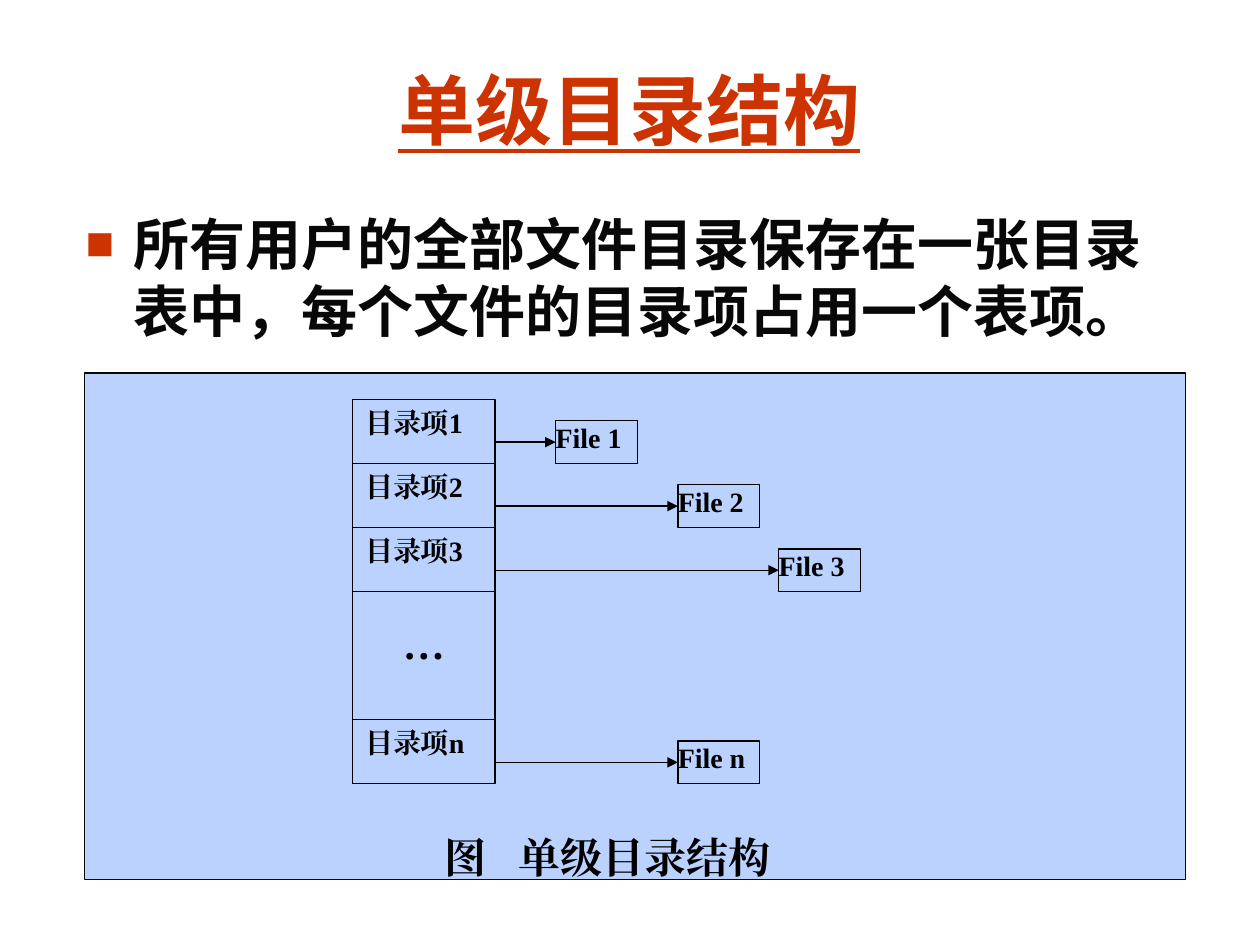
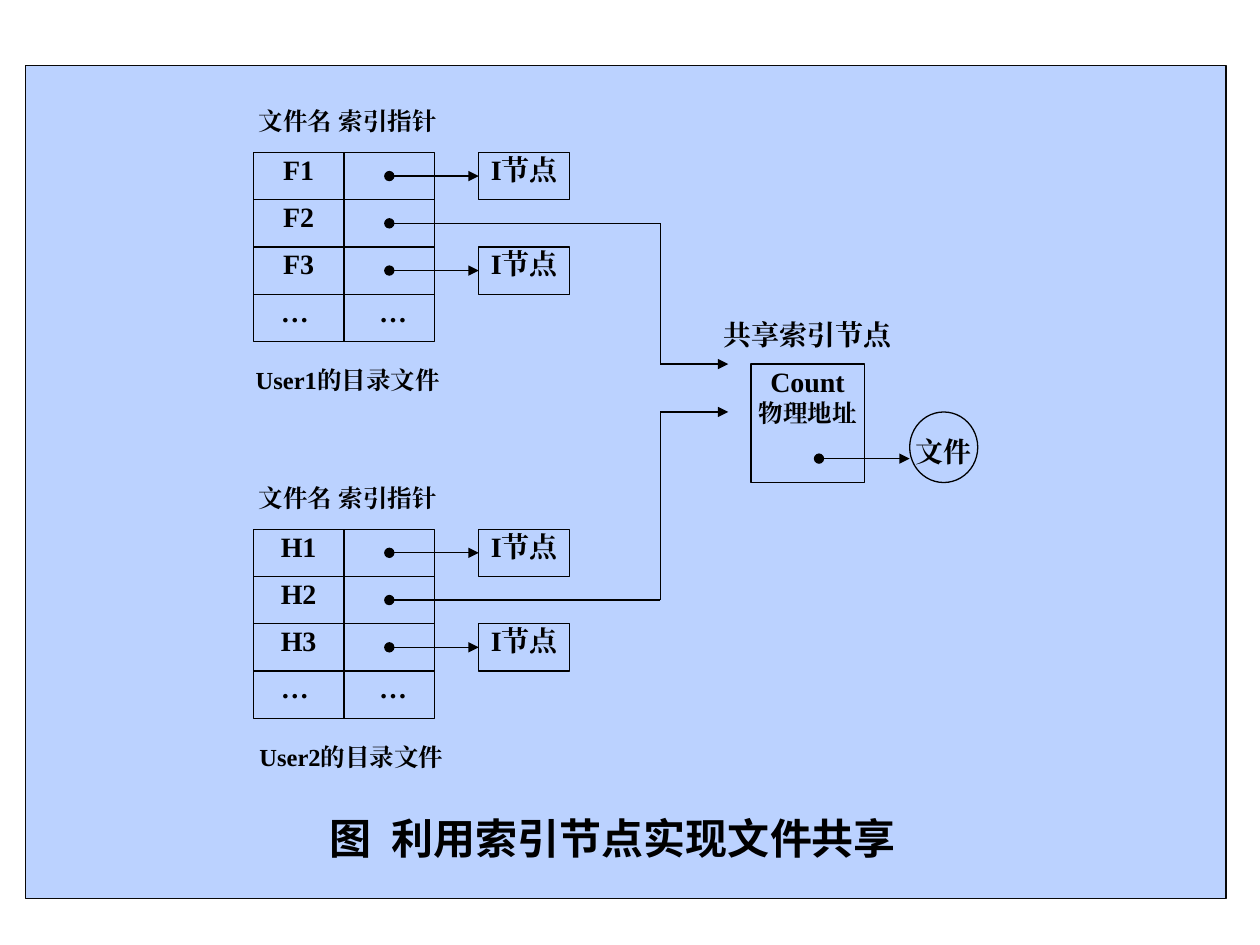
from itertools import pairwise

from lxml.etree import SubElement
from pptx import Presentation
from pptx.dml.color import RGBColor
from pptx.enum.shapes import MSO_CONNECTOR, MSO_SHAPE
from pptx.enum.text import MSO_ANCHOR, MSO_AUTO_SIZE, PP_ALIGN
from pptx.oxml.ns import qn
from pptx.util import Inches, Pt

COLORS = {"accent": "CC3300", "text": "080808", "ink": "000000", "panel": "BBD2FF"}
SERIF = "Times New Roman"
SANS = "Noto Sans CJK SC"
LEFT_SIDE = 1
NO_INSET = (0, 0, 0, 0)
DEFAULT_INSET = (0.1, 0.05, 0.1, 0.05)


def color(name):
    return RGBColor.from_string(COLORS[name])


class SlideBuilder:
    """Holds the shared style and the slide being filled."""

    def __init__(self, deck):
        self.deck = deck
        self.slide = None

    def new_slide(self, layout_index):
        self.slide = self.deck.slides.add_slide(self.deck.slide_layouts[layout_index])

    def place(self, shape, left, top, width, height):
        place = {"left": left, "top": top, "width": width, "height": height}
        for name, value in place.items():
            setattr(shape, name, Inches(value))

    def style_span(self, span, size, font=SERIF, ink="ink", spacing=0, **extra):
        formats = {"size": Pt(size), "name": font, "bold": True, **extra}
        for name, value in formats.items():
            setattr(span.font, name, value)
        span.font.color.rgb = color(ink)
        properties = span._r.get_or_add_rPr()
        SubElement(properties, qn("a:ea")).set("typeface", font)
        if spacing:
            properties.set("spc", str(spacing * 100))

    def fill_text(self, shape, lines, inset=NO_INSET, align=PP_ALIGN.CENTER):
        """Each line is a list of (text, format values) spans."""
        frame = shape.text_frame
        formats = {"word_wrap": True, "auto_size": MSO_AUTO_SIZE.NONE,
                   "vertical_anchor": MSO_ANCHOR.TOP}
        for side, value in zip(("left", "top", "right", "bottom"), inset):
            formats[f"margin_{side}"] = Inches(value)
        for name, value in formats.items():
            setattr(frame, name, value)
        for index, spans in enumerate(lines):
            para = frame.add_paragraph() if index else frame.paragraphs[0]
            para.alignment = align
            for text, values in spans:
                span = para.add_run()
                span.text = text
                self.style_span(span, **values)

    def title(self, text):
        shape = self.slide.shapes.title
        self.place(shape, 0.58, 0.28, 8.83, 1.17)
        self.fill_text(shape, [[(text, {"size": 44, "font": SANS, "ink": "accent",
                                        "underline": True})]], DEFAULT_INSET)
        shape.text_frame.vertical_anchor = MSO_ANCHOR.MIDDLE

    def bullet(self, text):
        shape = self.slide.placeholders[1]
        self.place(shape, 0.58, 1.61, 8.83, 4.92)
        self.fill_text(shape, [[(text, {"size": 32, "font": "Arial", "ink": "text"})]],
                       DEFAULT_INSET, PP_ALIGN.LEFT)
        properties = shape.text_frame.paragraphs[0]._p.get_or_add_pPr()
        properties.set("marL", str(Inches(0.38)))
        properties.set("indent", str(Inches(-0.38)))
        bullet_color = SubElement(properties, qn("a:buClr"))
        SubElement(bullet_color, qn("a:srgbClr")).set("val", COLORS["accent"])
        SubElement(properties, qn("a:buSzPct")).set("val", "85000")
        SubElement(properties, qn("a:buFont")).set("typeface", "Arial")
        SubElement(properties, qn("a:buChar")).set("char", "■")

    def box(self, left, top, width, height, text="", size=16, fill=None, line="ink",
            kind=MSO_SHAPE.RECTANGLE, **layout):
        shape = self.slide.shapes.add_shape(
            kind, Inches(left), Inches(top), Inches(width), Inches(height))
        shape.shadow.inherit = False
        if fill:
            shape.fill.solid()
            shape.fill.fore_color.rgb = color(fill)
        else:
            shape.fill.background()
        shape.line.color.rgb = color(line)
        shape.line.width = Pt(0.75)
        if text:
            self.fill_text(shape, [[(text, {"size": size})]], **layout)
        return shape

    def panel(self, left, top, width, height):
        self.box(left, top, width, height, fill="panel", line="text")

    def label(self, left, top, width, height, spans, inset=NO_INSET):
        shape = self.slide.shapes.add_textbox(
            Inches(left), Inches(top), Inches(width), Inches(height))
        self.fill_text(shape, [spans], inset)

    def caption(self, left, top, width, height, text, font, gap, inset):
        style = {"size": 24, "font": font}
        spans = [("图", style), (" ", {**style, "spacing": gap}), (text, style)]
        self.label(left, top, width, height, spans, inset)

    def line(self, start, end, head=None, tail=None, target=None):
        link = self.slide.shapes.add_connector(
            MSO_CONNECTOR.STRAIGHT, *map(Inches, (*start, *end)))
        if target is not None:
            link.end_connect(target, LEFT_SIDE)
        link.line.color.rgb = color("ink")
        link.line.width = Pt(0.75)
        properties = link._element.spPr
        outline = properties.find(qn("a:ln"))
        for tag, kind in (("a:headEnd", head), ("a:tailEnd", tail)):
            if kind:
                SubElement(outline, qn(tag)).set("type", kind)
        SubElement(properties, qn("a:effectLst"))

    def route(self, points):
        """A dot-to-arrow path made of straight parts."""
        parts = list(pairwise(points))
        for index, (start, end) in enumerate(parts):
            self.line(start, end,
                      head=None if index else "oval",
                      tail="triangle" if index == len(parts) - 1 else None)


def build_single_level(page):
    page.new_slide(1)
    page.title("单级目录结构")
    page.bullet("所有用户的全部文件目录保存在一张目录表中，每个文件的目录项占用一个表项。")
    page.panel(0.67, 2.96, 8.74, 4.02)

    # Directory entries, each pointing to its file
    left, top, width, row = 2.8, 3.17, 1.13, 3.05 / 6
    file_height = row * 2 / 3
    entries = [(0, "1", 4.41), (1, "2", 5.38), (2, "3", 6.18), (5, "n", 5.38)]
    for index, name, file_left in entries:
        entry_top = top + index * row
        file_top = entry_top + row - file_height
        middle = file_top + file_height / 2
        page.box(left, entry_top, width, row, f"目录项{name}",
                 inset=DEFAULT_INSET, align=PP_ALIGN.JUSTIFY)
        file_box = page.box(file_left, file_top, 0.65, file_height, f"File {name}",
                            align=PP_ALIGN.JUSTIFY)
        page.line((left + width, middle), (file_left, middle),
                  tail="triangle", target=file_box)
    page.box(left, top + 3 * row, width, 2 * row, "…", 24, inset=(0.1, 0.21, 0.1, 0.05))

    page.caption(2.8, 6.55, 4.04, 0.51, "单级目录结构", SERIF, 12, DEFAULT_INSET)


def build_user_directory(page, top, letter, user, user_inset):
    left, width, row = 2.01, 0.72, 0.375
    pointer_left = left + width
    dot = pointer_left + width / 2
    node_left = 3.8

    page.label(left, top - 0.37, 1.62, 0.37, [("文件名 索引指针", {"size": 14})],
               (0, 0, 0.12, 0))
    for index in range(3):
        row_top = top + index * row
        page.box(left, row_top, width, row, f"{letter}{index + 1}")
        page.box(pointer_left, row_top, width, row)
        if index != 1:
            node = page.box(node_left, row_top, width, row, "I节点")
            middle = row_top + row / 2
            page.line((dot, middle), (node_left, middle), "oval", "triangle", node)
    page.box(left, top + 3 * row, width, row, "…", inset=(0, 0, 0.06, 0))
    page.box(pointer_left, top + 3 * row, width, row, "…", inset=(0.06, 0, 0, 0))
    page.label(left, top + 1.69, 1.62, 0.37, [(f"{user}的目录文件", {"size": 14})],
               (0, 0, user_inset, 0))
    return dot, top + 1.5 * row


def build_shared_node(page):
    page.new_slide(6)
    page.panel(0.2, 0.52, 9.53, 6.61)

    # Both users' second entries lead to the shared index node
    bend, arrow_end = 5.24, 5.78
    users = [(1.21, "F", "User1", 0.12, 2.89), (4.2, "H", "User2", 0.06, 3.27)]
    for top, letter, user, inset, arrow_y in users:
        dot, middle = build_user_directory(page, top, letter, user, inset)
        page.route([(dot, middle), (bend, middle), (bend, arrow_y), (arrow_end, arrow_y)])

    # Shared index node and the file it addresses
    page.label(5.6, 2.52, 1.62, 0.37, [("共享索引节点", {"size": 16})])
    node = page.box(5.96, 2.89, 0.9, 0.94)
    page.fill_text(node, [[("Count", {"size": 16})], [("物理地址", {"size": 14})]])
    page.box(7.22, 3.27, 0.54, 0.56, kind=MSO_SHAPE.OVAL)
    page.label(7.22, 3.45, 0.54, 0.37, [("文件", {"size": 16})])
    page.route([(6.5, 3.64), (7.22, 3.64)])

    page.caption(2.01, 6.45, 5.57, 0.56, "利用索引节点实现文件共享", SANS, 6, (0.14, 0, 0, 0))


def main():
    deck = Presentation()
    deck.slide_width, deck.slide_height = Inches(10), Inches(7.5)
    page = SlideBuilder(deck)
    build_single_level(page)
    build_shared_node(page)
    deck.save("out.pptx")


if __name__ == "__main__":
    main()
